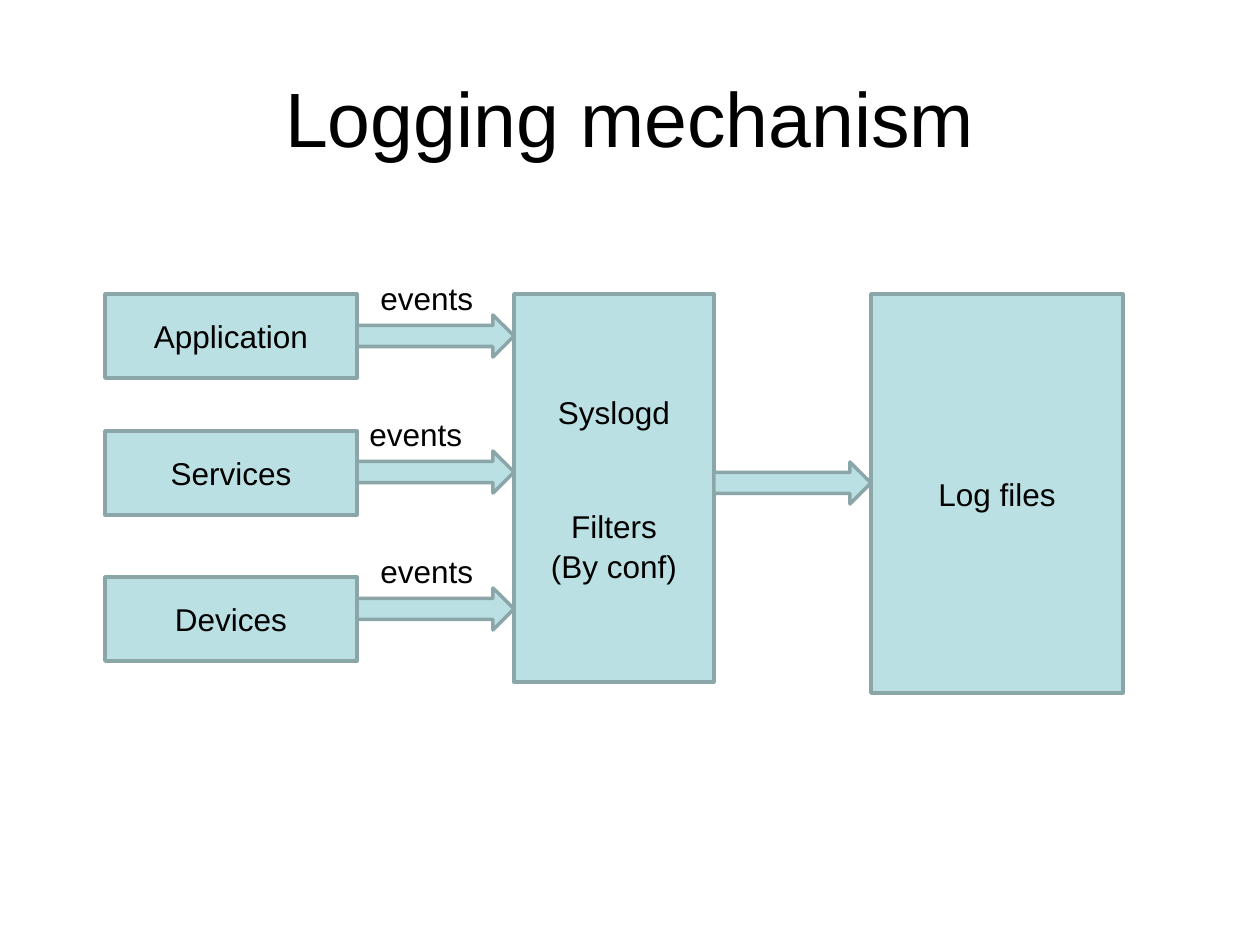
from pptx import Presentation
from pptx.dml.color import RGBColor
from pptx.enum import shapes, text
from pptx import util as u

PX = 914400 / 126
FILL = RGBColor(0xBB, 0xE0, 0xE3)
EDGE = RGBColor(0x8A, 0xA6, 0xA8)
INK = RGBColor(0, 0, 0)
RECT = shapes.MSO_SHAPE.RECTANGLE
ARROW = shapes.MSO_SHAPE.RIGHT_ARROW

TITLE = "Logging mechanism"
SOURCES = [
    ("Application", 294, 315, 368),
    ("Services", 431, 451, 357),
    ("Devices", 577, 588, 368),
]
EVENT = "events"
DAEMON = ["Syslogd", "Filters", "(By conf)"]
STORE = "Log files"

LEFT, TOP, WIDE, HIGH = 105, 294, 252, 84
GAP, THICK, RISE = 157, 42, 42
HUB, STORE_H, HUB_H = 200, 399, 388


def emu(*vals):
    return [round(v * PX) for v in vals]


def write(shape, lines, size=18, align=text.PP_ALIGN.CENTER,
          anchor=text.MSO_ANCHOR.MIDDLE, pitch=None, gaps=()):
    frame = shape.text_frame
    frame.word_wrap = True
    frame.vertical_anchor = anchor
    for i, line in enumerate(lines):
        par = frame.paragraphs[0] if i == 0 else frame.add_paragraph()
        par.alignment = align
        par.line_spacing = pitch
        if i in gaps:
            par.space_before = u.Pt(gaps[i])
        run = par.add_run()
        run.text = line
        run.font.name = "Arial"
        run.font.size = u.Pt(size)
        run.font.color.rgb = INK


def draw(slide, kind, *box):
    shape = slide.shapes.add_shape(kind, *emu(*box))
    shape.shadow.inherit = False
    shape.fill.solid()
    shape.fill.fore_color.rgb = FILL
    shape.line.color.rgb = EDGE
    shape.line.width = u.Pt(2)
    return shape


def main():
    deck = Presentation()
    deck.slide_width, deck.slide_height = emu(1260, 945)
    slide = deck.slides.add_slide(deck.slide_layouts[6])

    head = slide.shapes.add_textbox(*emu(63, 38, 1134, 158))
    write(head, [TITLE], size=44)

    out = LEFT + WIDE
    hub = out + GAP
    end = hub + HUB
    for name, top, flow, label in SOURCES:
        write(draw(slide, RECT, LEFT, top, WIDE, HIGH), [name])
        draw(slide, ARROW, out, flow, GAP, THICK)
        note = slide.shapes.add_textbox(*emu(label, flow - RISE, 126, 50))
        write(note, [EVENT], align=text.PP_ALIGN.LEFT, anchor=text.MSO_ANCHOR.TOP)

    write(draw(slide, RECT, hub, TOP, HUB, HUB_H), DAEMON, pitch=1.04, gaps={1: 43})
    draw(slide, ARROW, end, 462, GAP, THICK)
    write(draw(slide, RECT, end + GAP, TOP, WIDE, STORE_H), [STORE])

    deck.save("out.pptx")


if __name__ == "__main__":
    main()
